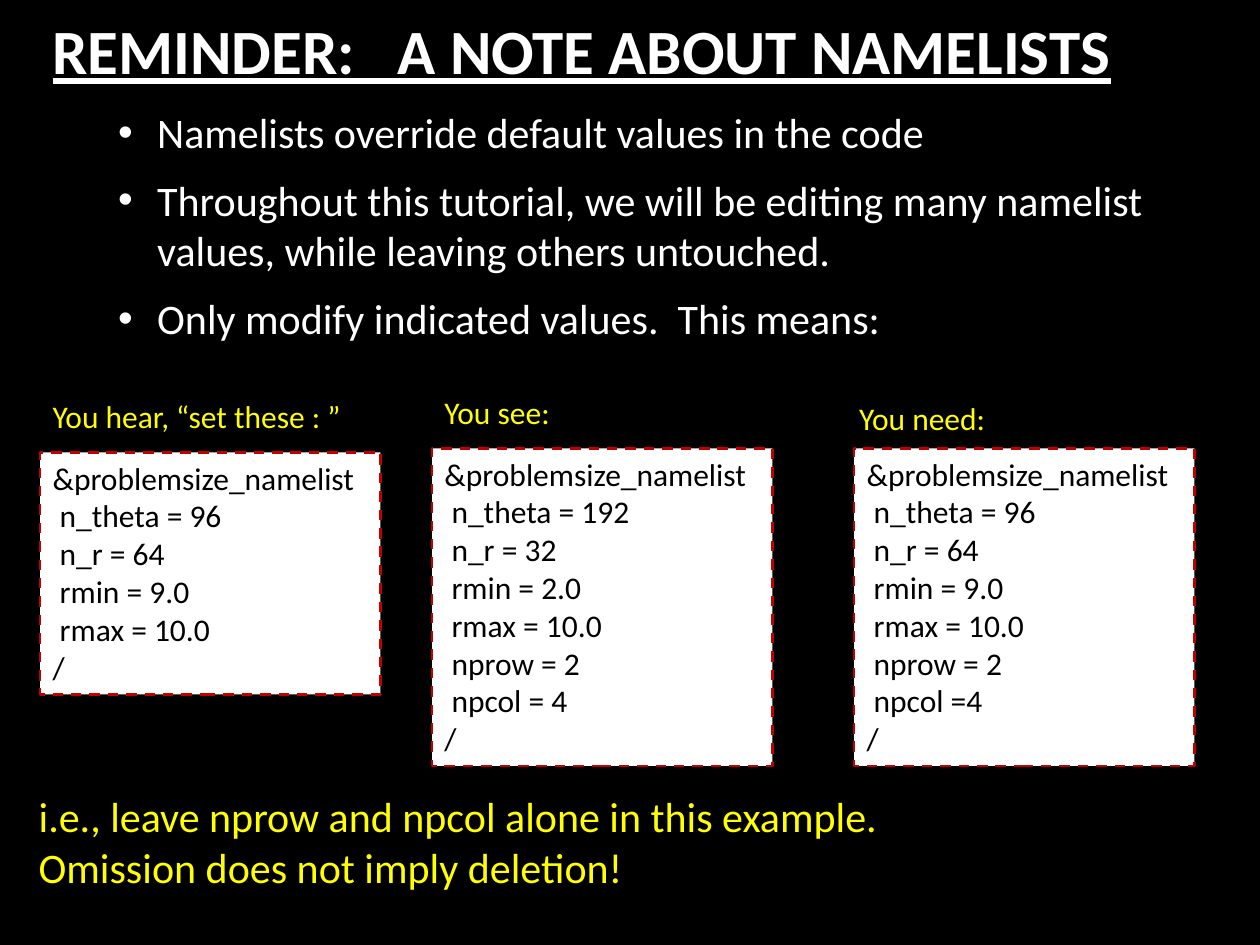
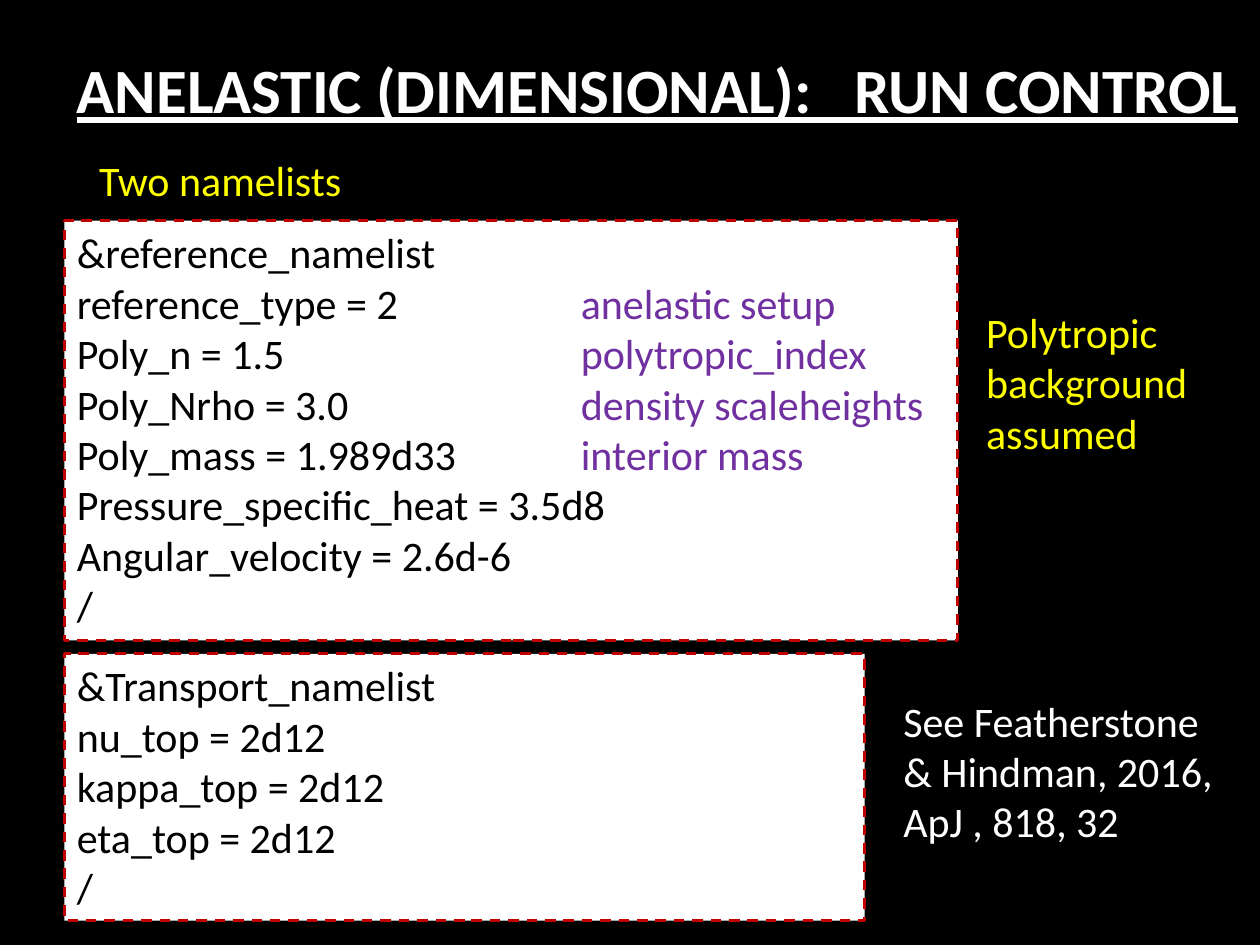
"""Two slides on editing namelists for an anelastic run."""
from dataclasses import dataclass

from lxml import etree
from pptx import Presentation
from pptx.dml.color import RGBColor
from pptx.enum import dml, shapes, text
from pptx.oxml import ns
from pptx.util import Cm, Pt


@dataclass(frozen=True)
class Theme:
    font: str = "Calibri"
    background: str = "000000"
    plain: str = "FFFFFF"
    accent: str = "FFFF00"
    code: str = "000000"
    remark: str = "7030A0"
    panel: str = "FFFFFF"
    border: str = "C00000"
    title_size: int = 36
    body_size: int = 24
    small_size: int = 18


theme = Theme()


def write(slide, lines, left, top, width, height, size=theme.body_size, color=theme.plain,
          bold=False, anchor=text.MSO_ANCHOR.TOP, bullet=False, panel=False, remark_tab=None):
    frame = (Cm(left), Cm(top), Cm(width), Cm(height))
    if panel:
        box = slide.shapes.add_shape(shapes.MSO_SHAPE.RECTANGLE, *frame)
        box.shadow.inherit = False
        box.fill.solid()
        box.fill.fore_color.rgb = RGBColor.from_string(theme.panel)
        box.line.color.rgb = RGBColor.from_string(theme.border)
        box.line.width = Pt(1.5)
        box.line.dash_style = dml.MSO_LINE.DASH
    else:
        box = slide.shapes.add_textbox(*frame)
    body = box.text_frame
    body.word_wrap = True
    body.vertical_anchor = anchor
    for index, line in enumerate(lines):
        paragraph = body.paragraphs[0] if index == 0 else body.add_paragraph()
        paragraph.alignment = text.PP_ALIGN.LEFT
        setting, tab, remark = line.partition("\t")
        for words, shade in ((setting + tab, color), (remark, theme.remark)):
            if words:
                run = paragraph.add_run()
                run.text = words
                run.font.name = theme.font
                run.font.size = Pt(size)
                run.font.bold = bold
                run.font.underline = bold
                run.font.color.rgb = RGBColor.from_string(shade)
        properties = paragraph._p.get_or_add_pPr()
        if bullet:
            paragraph.space_after = Pt(10)
            properties.set("marL", str(Cm(0.79)))
            properties.set("indent", str(-Cm(0.79)))
            bullet_color = etree.SubElement(properties, ns.qn("a:buClr"))
            etree.SubElement(bullet_color, ns.qn("a:srgbClr"), val=theme.plain)
            etree.SubElement(properties, ns.qn("a:buFont"), typeface="Arial")
            etree.SubElement(properties, ns.qn("a:buChar"), char="•")
        if tab:
            stops = etree.SubElement(properties, ns.qn("a:tabLst"))
            etree.SubElement(stops, ns.qn("a:tab"), pos=str(Cm(remark_tab)), algn="l")


deck = Presentation()
deck.slide_width, deck.slide_height = Cm(25.4), Cm(19.05)

slides = []
for title, left, top, width in (
    ("REMINDER:   A NOTE ABOUT NAMELISTS", 0.81, -1.02, 24.1),
    ("ANELASTIC (DIMENSIONAL):   RUN CONTROL", 1.3, -0.23, 25.3),
):
    slide = deck.slides.add_slide(deck.slide_layouts[6])
    slide.background.fill.solid()
    slide.background.fill.fore_color.rgb = RGBColor.from_string(theme.background)
    write(slide, [title], left, top, width, 4.04, size=theme.title_size, bold=True,
          anchor=text.MSO_ANCHOR.MIDDLE)
    slides.append(slide)
reminder, run_control = slides

write(reminder, [
    "Namelists override default values in the code",
    "Throughout this tutorial, we will be editing many namelist values, "
    "while leaving others untouched.",
    "Only modify indicated values.  This means:",
], 2.13, 1.8, 21.59, 5.46, anchor=text.MSO_ANCHOR.MIDDLE, bullet=True)

requested = [" n_theta = 96", " n_r = 64", " rmin = 9.0", " rmax = 10.0"]
existing = [" n_theta = 192", " n_r = 32", " rmin = 2.0", " rmax = 10.0"]
for label, settings, label_left, label_top, left, top, height in (
    ("You hear, “set these : ”", requested, 0.81, 7.87, 0.81, 9.12, 4.88),
    ("You see:", existing + [" nprow = 2", " npcol = 4"], 8.71, 7.8, 8.71, 9.04, 6.4),
    ("You need:", requested + [" nprow = 2", " npcol =4"], 17.07, 7.92, 17.22, 9.04, 6.4),
):
    write(reminder, ["&problemsize_namelist", *settings, "/"], left, top, 6.86, height,
          size=theme.small_size, color=theme.code, panel=True)
    write(reminder, [label], label_left, label_top, 6.86, 1.02,
          size=theme.small_size, color=theme.accent)

write(reminder, [
    "i.e., leave nprow and npcol alone in this example.",
    "Omission does not imply deletion!",
], 0.53, 15.82, 18.5, 2.31, color=theme.accent)

write(run_control, [
    "&reference_namelist",
    "reference_type = 2\tanelastic setup",
    "Poly_n = 1.5\tpolytropic_index",
    "Poly_Nrho = 3.0\tdensity scaleheights",
    "Poly_mass = 1.989d33\tinterior mass",
    "Pressure_specific_heat = 3.5d8",
    "Angular_velocity = 2.6d-6",
    "/",
], 1.3, 4.45, 18.01, 8.46, color=theme.code, panel=True, remark_tab=10.16)
write(run_control, [
    "&Transport_namelist", "nu_top = 2d12", "kappa_top = 2d12", "eta_top = 2d12", "/",
], 1.3, 13.18, 16.13, 5.38, color=theme.code, panel=True)

for note, left, top, width, height, color in (
    ("Two namelists", 1.75, 3.0, 9.55, 1.27, theme.accent),
    ("Polytropic background assumed", 19.63, 6.05, 6.73, 3.33, theme.accent),
    ("See Featherstone & Hindman, 2016, ApJ , 818, 32", 17.96, 13.89, 7.16, 3.33, theme.plain),
):
    write(run_control, [note], left, top, width, height, color=color)

deck.save("out.pptx")
